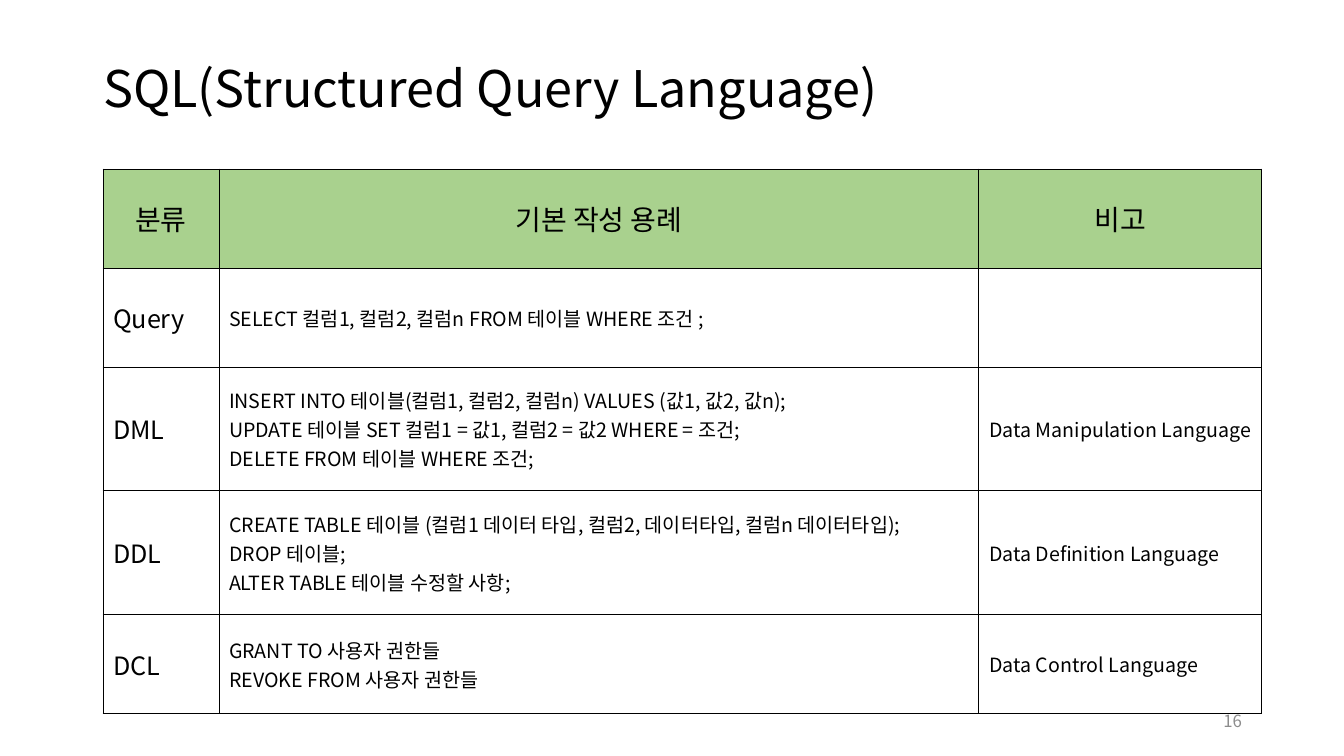
from dataclasses import dataclass

from lxml.etree import SubElement
from pptx import Presentation
from pptx.dml.color import RGBColor
from pptx.enum.text import MSO_ANCHOR, PP_ALIGN
from pptx.oxml.ns import qn
from pptx.util import Emu, Pt

TITLE = "SQL(Structured Query Language)"
PAGE_NUMBER = "16"
HEADER = ["분류", "기본 작성 용례", "비고"]
COMMANDS = [
    ("Query", ["SELECT 컬럼1, 컬럼2, 컬럼n FROM 테이블 WHERE 조건 ;"], ""),
    ("DML", ["INSERT INTO 테이블(컬럼1, 컬럼2, 컬럼n) VALUES (값1, 값2, 값n);",
             "UPDATE 테이블 SET 컬럼1 = 값1, 컬럼2 = 값2 WHERE = 조건;",
             "DELETE FROM 테이블 WHERE 조건;"], "Data Manipulation Language"),
    ("DDL", ["CREATE TABLE 테이블 (컬럼1 데이터 타입, 컬럼2, 데이터타입, 컬럼n 데이터타입);",
             "DROP 테이블;",
             "ALTER TABLE 테이블 수정할 사항;"], "Data Definition Language"),
    ("DCL", ["GRANT TO 사용자 권한들",
             "REVOKE FROM 사용자 권한들"], "Data Control Language"),
]

SLIDE_SIZE = (1344, 756)
TITLE_BOX = (93, 40, 1159, 102)
NUMBER_BOX = (950, 701, 302, 40)
TABLE_ORIGIN = (103, 169)
COLUMN_WIDTHS = [116, 760, 283]
ROW_HEIGHTS = [99, 99, 124, 124, 99]


@dataclass(frozen=True)
class Theme:
    font: str = "Noto Sans CJK KR"
    ink: str = "000000"
    muted: str = "8C8C8C"
    header_fill: str = "A9D18E"
    title_size: int = 36
    header_size: int = 20
    label_size: int = 18
    body_size: int = 14
    number_size: int = 12
    border_width: float = 0.75


THEME = Theme()


def px(length):
    return Emu(round(length * 914400 / 100.8))


def write(frame, lines, size, color=THEME.ink, align=PP_ALIGN.LEFT):
    """Put each line in its own paragraph and return the paragraphs."""
    for index, line in enumerate(lines):
        para = frame.paragraphs[0] if index == 0 else frame.add_paragraph()
        para.alignment = align
        span = para.add_run()
        span.text = line
        span.font.size = Pt(size)
        span.font.name = THEME.font
        span.font.color.rgb = RGBColor.from_string(color)
        east_asian = SubElement(span.font._element, qn("a:ea"))
        east_asian.set("typeface", THEME.font)
    return frame.paragraphs


def draw_borders(cell):
    """Outline a cell; borders must precede its fill in the XML."""
    properties = cell._tc.get_or_add_tcPr()
    for side in ("lnL", "lnR", "lnT", "lnB"):
        border = SubElement(properties, qn(f"a:{side}"), w=str(Pt(THEME.border_width)))
        fill = SubElement(border, qn("a:solidFill"))
        SubElement(fill, qn("a:srgbClr"), val=THEME.ink)


def add_title(page):
    title = page.shapes.title
    title.left, title.top, title.width, title.height = map(px, TITLE_BOX)
    frame = title.text_frame
    frame.word_wrap = True
    frame.vertical_anchor = MSO_ANCHOR.MIDDLE
    write(frame, [TITLE], THEME.title_size)[0].line_spacing = 0.9


def add_page_number(page):
    frame = page.shapes.add_textbox(*map(px, NUMBER_BOX)).text_frame
    frame.word_wrap = True
    frame.vertical_anchor = MSO_ANCHOR.MIDDLE
    write(frame, [PAGE_NUMBER], THEME.number_size, THEME.muted, PP_ALIGN.RIGHT)


def add_command_table(page):
    rows = [[[name] for name in HEADER]]
    rows += [[[label], usage, [note] if note else []] for label, usage, note in COMMANDS]
    size = (sum(COLUMN_WIDTHS), sum(ROW_HEIGHTS))
    table = page.shapes.add_table(len(rows), len(HEADER),
                                  *map(px, TABLE_ORIGIN + size)).table
    table.first_row = table.horz_banding = False
    for column, width in zip(table.columns, COLUMN_WIDTHS):
        column.width = px(width)
    for row, height in zip(table.rows, ROW_HEIGHTS):
        row.height = px(height)

    body_sizes = [THEME.label_size, THEME.body_size, THEME.body_size]
    for row_index, row in enumerate(rows):
        for column_index, lines in enumerate(row):
            cell = table.cell(row_index, column_index)
            cell.vertical_anchor = MSO_ANCHOR.MIDDLE
            draw_borders(cell)
            if row_index == 0:
                cell.fill.solid()
                cell.fill.fore_color.rgb = RGBColor.from_string(THEME.header_fill)
                write(cell.text_frame, lines, THEME.header_size, align=PP_ALIGN.CENTER)
            else:
                cell.fill.background()
                write(cell.text_frame, lines, body_sizes[column_index])


def main():
    deck = Presentation()
    deck.slide_width, deck.slide_height = map(px, SLIDE_SIZE)
    page = deck.slides.add_slide(deck.slide_layouts[5])
    add_title(page)
    add_page_number(page)
    add_command_table(page)
    deck.save("out.pptx")


if __name__ == "__main__":
    main()
